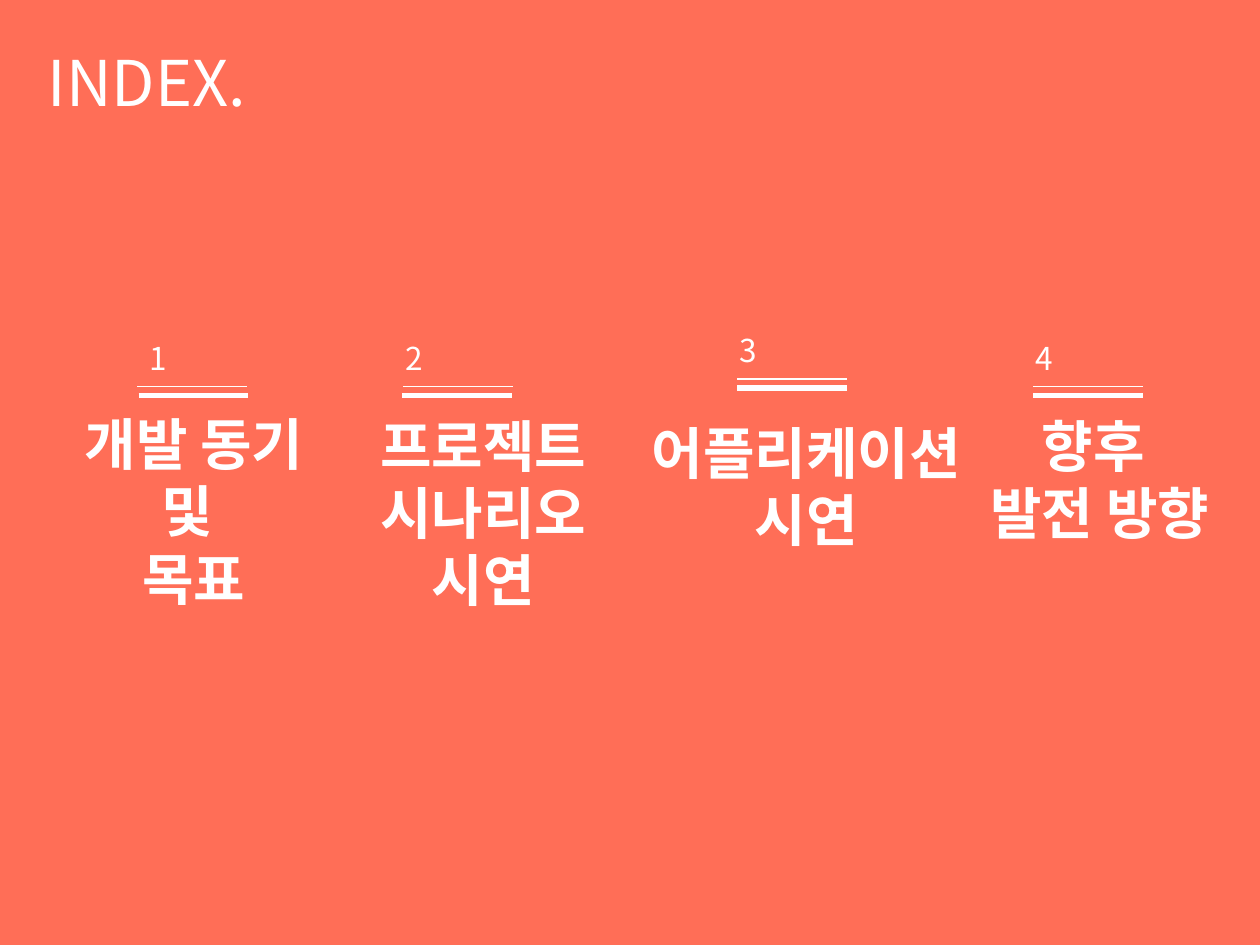
from dataclasses import dataclass

from lxml.etree import SubElement
from pptx import Presentation
from pptx.dml.color import RGBColor
from pptx.enum.shapes import MSO_CONNECTOR, MSO_SHAPE
from pptx.enum.text import MSO_ANCHOR, PP_ALIGN
from pptx.oxml.ns import qn
from pptx.shapes.group import GroupShape
from pptx.slide import Slide
from pptx.text.text import TextFrame
from pptx.util import Inches, Pt

COLORS = {"coral": "FF6E57", "white": "FFFFFF"}
FONT = "Noto Sans CJK KR"
FORMATS = {
    "title": {"size": Pt(36), "bold": False},
    "number": {"size": Pt(18), "bold": False},
    "topic": {"size": Pt(32), "bold": True},
}
SLIDE_WIDTH, SLIDE_HEIGHT = Inches(10), Inches(7.5)
RULE_WIDTH = 0.087
NUMBER_WIDTH, NUMBER_HEIGHT = 0.126, 0.053
NUMBER_RISE = 0.057
RULE_GAP = 0.0095


@dataclass(frozen=True)
class Topic:
    """An index entry; lengths are shares of the slide's width or height."""
    number: str
    lines: tuple[str, ...]
    number_left: float
    thin_left: float
    thick_left: float
    rule_top: float
    text_left: float
    text_top: float
    text_width: float
    text_height: float


TOPICS = (
    Topic("1", ("개발 동기", "및 ", "목표"),
          0.109, 0.109, 0.11, 0.409, 0.043, 0.427, 0.222, 0.229),
    Topic("2", ("프로젝트", "시나리오", "시연"),
          0.312, 0.32, 0.319, 0.409, 0.266, 0.429, 0.235, 0.229),
    Topic("3", ("어플리케이션", "시연"),
          0.577, 0.585, 0.585, 0.401, 0.492, 0.436, 0.296, 0.157),
    Topic("4", ("향후 ", "발전 방향"),
          0.812, 0.82, 0.82, 0.409, 0.75, 0.429, 0.246, 0.157),
)


def across(share: float) -> int:
    return round(SLIDE_WIDTH * share)


def down(share: float) -> int:
    return round(SLIDE_HEIGHT * share)


def color(name: str) -> RGBColor:
    return RGBColor.from_string(COLORS[name])


def write(frame: TextFrame, lines: tuple[str, ...], style: str,
          align: PP_ALIGN = PP_ALIGN.LEFT) -> None:
    frame.word_wrap = True
    frame.vertical_anchor = MSO_ANCHOR.TOP
    for index, line in enumerate(lines):
        paragraph = frame.add_paragraph() if index else frame.paragraphs[0]
        paragraph.alignment = align
        run = paragraph.add_run()
        run.text = line
        for attribute, value in (FORMATS[style] | {"name": FONT}).items():
            setattr(run.font, attribute, value)
        run.font.color.rgb = color("white")
        SubElement(run.font._element, qn("a:ea"), typeface=FONT)


def add_rule(group: GroupShape, left: float, top: float, weight: float) -> None:
    rule = group.shapes.add_connector(
        MSO_CONNECTOR.STRAIGHT, across(left), down(top),
        across(left + RULE_WIDTH), down(top))
    rule.line.color.rgb = color("white")
    rule.line.width = Pt(weight)
    SubElement(rule._element.spPr, qn("a:effectLst"))


def add_topic(slide: Slide, topic: Topic) -> None:
    group = slide.shapes.add_group_shape()
    heading = group.shapes.add_textbox(
        across(topic.text_left), down(topic.text_top),
        across(topic.text_width), down(topic.text_height))
    write(heading.text_frame, topic.lines, "topic", PP_ALIGN.CENTER)
    add_rule(group, topic.thin_left, topic.rule_top, 0.75)
    add_rule(group, topic.thick_left, topic.rule_top + RULE_GAP, 3)
    number = group.shapes.add_textbox(
        across(topic.number_left), down(topic.rule_top - NUMBER_RISE),
        across(NUMBER_WIDTH), down(NUMBER_HEIGHT))
    write(number.text_frame, (topic.number,), "number")


def add_backdrop(slide: Slide) -> None:
    """Cover the slide in coral, behind the title placeholder."""
    backdrop = slide.shapes.add_shape(
        MSO_SHAPE.RECTANGLE, 0, 0, SLIDE_WIDTH, SLIDE_HEIGHT)
    backdrop.shadow.inherit = False
    backdrop.fill.solid()
    backdrop.fill.fore_color.rgb = color("coral")
    backdrop.line.fill.background()
    slide.shapes.title._element.addprevious(backdrop._element)


def add_title(slide: Slide) -> None:
    title = slide.shapes.title
    bounds = {"left": across(0.028), "top": down(0.039),
              "width": across(0.339), "height": down(0.094)}
    for attribute, value in bounds.items():
        setattr(title, attribute, value)
    write(title.text_frame, ("INDEX.",), "title")


def main() -> None:
    deck = Presentation()
    deck.slide_width, deck.slide_height = SLIDE_WIDTH, SLIDE_HEIGHT
    slide = deck.slides.add_slide(deck.slide_layouts[5])
    add_backdrop(slide)
    add_title(slide)
    for topic in TOPICS:
        add_topic(slide, topic)
    deck.save("out.pptx")


if __name__ == "__main__":
    main()
